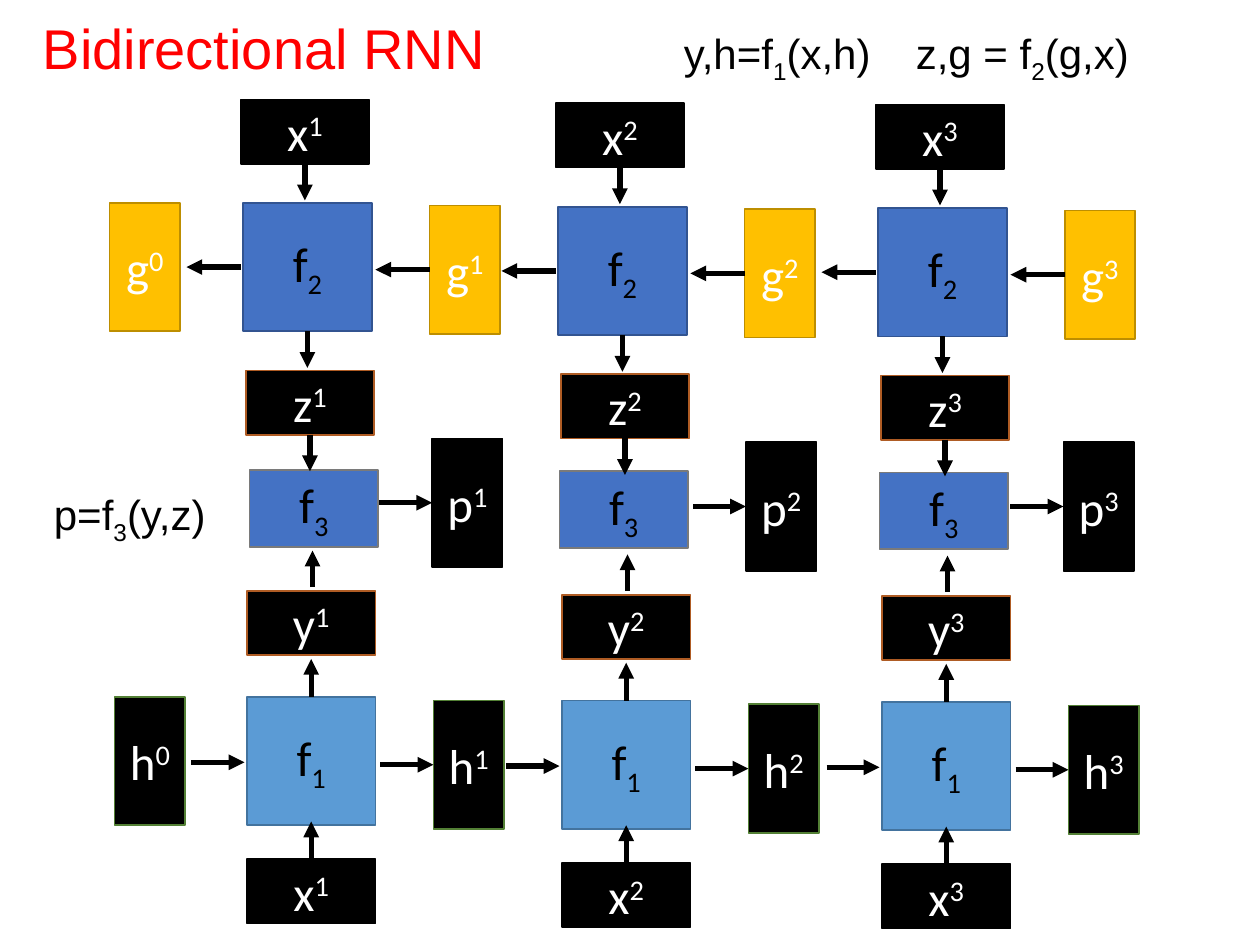
"""Build a slide that shows how a bidirectional RNN unrolls over three steps."""
from dataclasses import dataclass

from lxml.etree import SubElement
from pptx import Presentation
from pptx.dml.color import RGBColor as RGB
from pptx.enum.shapes import MSO_CONNECTOR as Link, MSO_SHAPE as Form
from pptx.enum.text import MSO_ANCHOR as Anchor, MSO_AUTO_SIZE as Fit, PP_ALIGN as Align
from pptx.oxml.ns import qn
from pptx.util import Inches, Pt


@dataclass(frozen=True)
class Theme:
    black: str = "000000"
    white: str = "FFFFFF"
    red: str = "FF0000"
    sky: str = "5B9BD5"
    navy: str = "43739E"
    blue: str = "4472C4"
    deep: str = "325491"
    gold: str = "FFC000"
    amber: str = "BD8E00"
    green: str = "538035"
    rust: str = "AF5C24"
    gray: str = "7A7A7A"
    sans: str = "Arial"
    node: str = "Calibri"
    head: int = 32
    label: int = 28
    math: int = 24
    edge: int = 1
    arrow: int = 3


T = Theme()
TOP, LEFT, BOTTOM = 0, 1, 2
SUB, SUP = -25, 30
WIDE, SLIM, LOW, MID = 1.02, 0.56, 0.51, 0.61
SHIFTS = [(0, 0), (2.5, 0.03), (5.04, 0.04)]
FLAT = [(0, 0), (2.46, 0.01), (5, 0.02)]
TIGHT = [(0, 0), (2.49, 0.03), (5.01, 0.03)]

# key: letter, subscript, left, top, width, height, fill, edge, shifts
NODES = {
    "f1": ("f", "1", 1.96, 5.53, WIDE, WIDE, T.sky, T.navy, SHIFTS),
    "h": ("h", "", 3.44, 5.56, SLIM, WIDE, T.black, T.green, SHIFTS),
    "y": ("y", "", 1.96, 4.69, WIDE, LOW, T.black, T.rust, SHIFTS),
    "x low": ("x", "", 1.96, 6.82, WIDE, LOW, T.black, T.black, SHIFTS),
    "f2": ("f", "2", 1.93, 1.61, WIDE, WIDE, T.blue, T.deep, SHIFTS),
    "g": ("g", "", 3.41, 1.63, SLIM, WIDE, T.gold, T.amber, SHIFTS),
    "x top": ("x", "", 1.91, 0.79, WIDE, LOW, T.black, T.black, SHIFTS),
    "z": ("z", "", 1.95, 2.94, WIDE, LOW, T.black, T.rust, SHIFTS),
    "f3": ("f", "3", 1.98, 3.73, WIDE, MID, T.blue, T.gray, FLAT),
    "p": ("p", "", 3.43, 3.48, SLIM, WIDE, T.black, T.black, TIGHT),
}
# key, side, move
LEAVING = [
    ("x top", TOP + BOTTOM, (0, 0.29)),
    ("f2", BOTTOM, (0, 0.29)),
    ("z", BOTTOM, (0, 0.29)),
    ("g", LEFT, (-0.43, 0)),
    ("x low", TOP, (0, -0.3)),
    ("f1", TOP, (0, -0.3)),
]
ENTERING = [("h", LEFT, (0.42, 0)), ("p", LEFT, (0.42, 0))]
# start, move
FREE = [
    ((2.48, 4.66), (0, -0.29)),
    ((1.52, 6.05), (0.42, 0)),
    ((1.91, 2.12), (-0.43, 0)),
]
FORMULAS = [
    (0.33, 3.83, 1.43, ("p=f", "3", "(y,z)")),
    (5.33, 0.17, 1.71, ("y,h=f", "1", "(x,h)")),
    (7.17, 0.17, 1.93, ("z,g = f", "2", "(g,x)")),
]


def style(para, size, face, color):
    """Set the font of a paragraph."""
    font = para.font
    font.size, font.name = Pt(size), face
    font.color.rgb = RGB.from_string(color)


def write(para, parts, base):
    """Add text parts as runs, with the second one raised or lowered."""
    for i, part in enumerate(parts):
        run = para.add_run()
        run.text = part
        if i == 1:
            run.font._element.set("baseline", str(base * 1000))


def box(slide, spot, size, fill, edge, parts, base):
    """Draw a rectangle with a centred label."""
    shape = slide.shapes.add_shape(Form.RECTANGLE, *map(Inches, spot + size))
    shape.shadow.inherit = False
    shape.fill.solid()
    shape.fill.fore_color.rgb = RGB.from_string(fill)
    shape.line.color.rgb = RGB.from_string(edge)
    shape.line.width = Pt(T.edge)
    shape.text_frame.vertical_anchor = Anchor.MIDDLE
    para = shape.text_frame.paragraphs[0]
    para.alignment = Align.CENTER
    write(para, parts, base)
    style(para, T.label, T.node, T.black if base == SUB else T.white)
    return shape


def arrow(slide, start, end):
    """Draw a straight arrow between two points."""
    line = slide.shapes.add_connector(Link.STRAIGHT, *map(Inches, start + end))
    line.line.color.rgb = RGB.from_string(T.black)
    line.line.width = Pt(T.arrow)
    SubElement(line.line._get_or_add_ln(), qn("a:tailEnd"), type="triangle")
    SubElement(line._element.spPr, qn("a:effectLst"))
    return line


def move(spot, step):
    """Return a point moved by a step."""
    return spot[0] + step[0], spot[1] + step[1]


def site(shape, side):
    """Return the middle of a side of a shape in inches."""
    x, y = shape.left.inches, shape.top.inches
    w, h = shape.width.inches, shape.height.inches
    return {TOP: (x + w / 2, y), LEFT: (x, y + h / 2), BOTTOM: (x + w / 2, y + h)}[side]


def node(slide, key, step):
    """Draw one node of the network at a step."""
    letter, sub, x, y, w, h, fill, edge, shifts = NODES[key]
    parts = (letter, sub or str(step + 1))
    spot = move((x, y), shifts[step])
    return box(slide, spot, (w, h), fill, edge, parts, SUB if sub else SUP)


def wire(slide, nodes, shift):
    """Draw the arrows of one step."""
    for key, side, step in LEAVING:
        start = site(nodes[key], side)
        arrow(slide, start, move(start, step)).begin_connect(nodes[key], side)
    for key, side, (dx, dy) in ENTERING:
        end = site(nodes[key], side)
        arrow(slide, move(end, (-dx, -dy)), end).end_connect(nodes[key], side)
    for spot, step in FREE:
        start = move(spot, shift)
        arrow(slide, start, move(start, step))


def title(slide, text):
    """Fill and place the title."""
    shape = slide.shapes.title
    shape.left, shape.top, shape.width, shape.height = map(Inches, (0.24, 0.06, 3.74, 0.64))
    frame = shape.text_frame
    frame.text = text
    frame.word_wrap, frame.auto_size = False, Fit.SHAPE_TO_FIT_TEXT
    frame.vertical_anchor = Anchor.TOP
    frame.paragraphs[0].alignment = Align.LEFT
    style(frame.paragraphs[0], T.head, T.sans, T.red)


def formula(slide, x, y, w, parts):
    """Add a formula with a subscript."""
    frame = slide.shapes.add_textbox(*map(Inches, (x, y, w, LOW))).text_frame
    frame.word_wrap, frame.auto_size = False, Fit.SHAPE_TO_FIT_TEXT
    write(frame.paragraphs[0], parts, SUB)
    style(frame.paragraphs[0], T.math, T.sans, T.black)


def main():
    """Build and save the slide."""
    deck = Presentation()
    deck.slide_width, deck.slide_height = Inches(10), Inches(7.5)
    slide = deck.slides.add_slide(deck.slide_layouts[5])
    title(slide, "Bidirectional RNN")
    box(slide, (0.91, 5.53), (SLIM, WIDE), T.black, T.green, ("h", "0"), SUP)
    box(slide, (0.87, 1.61), (SLIM, WIDE), T.gold, T.amber, ("g", "0"), SUP)
    for step, shift in enumerate(SHIFTS):
        nodes = {key: node(slide, key, step) for key in NODES}
        wire(slide, nodes, shift)
    for item in FORMULAS:
        formula(slide, *item)
    deck.save("out.pptx")


if __name__ == "__main__":
    main()
